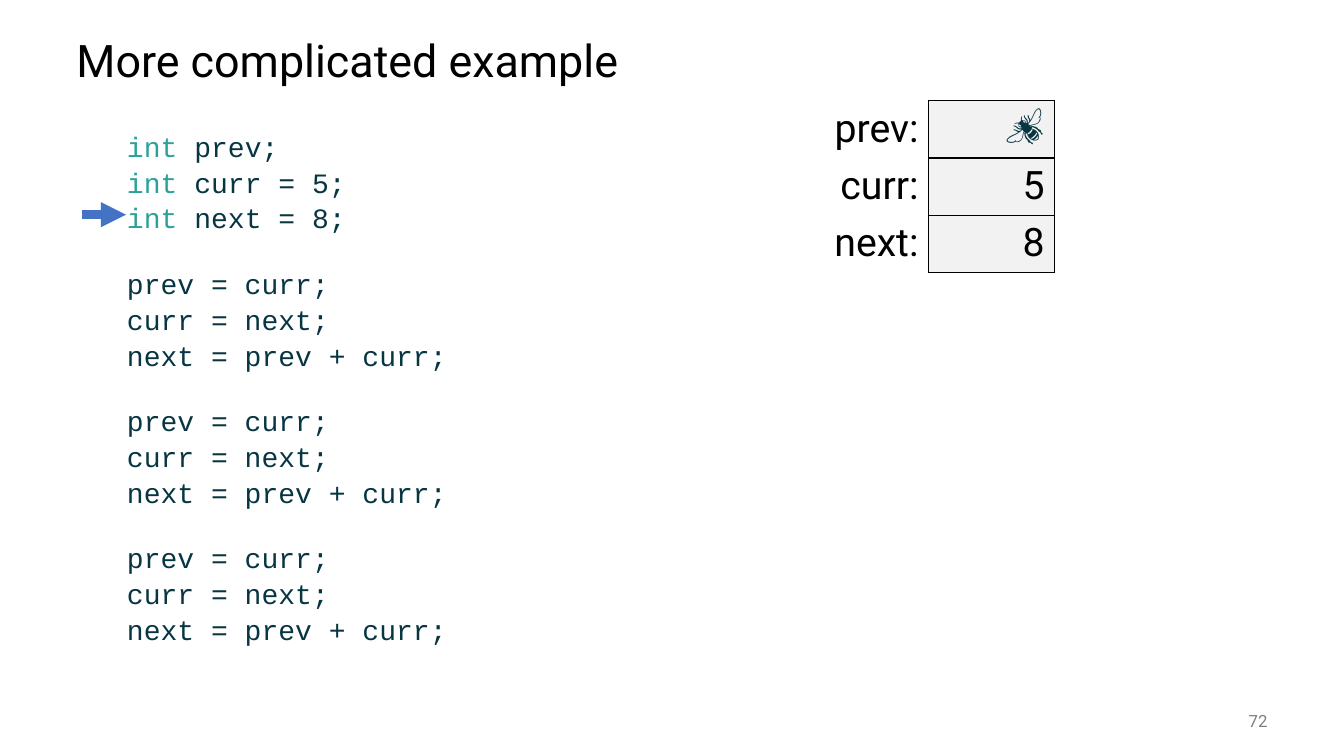
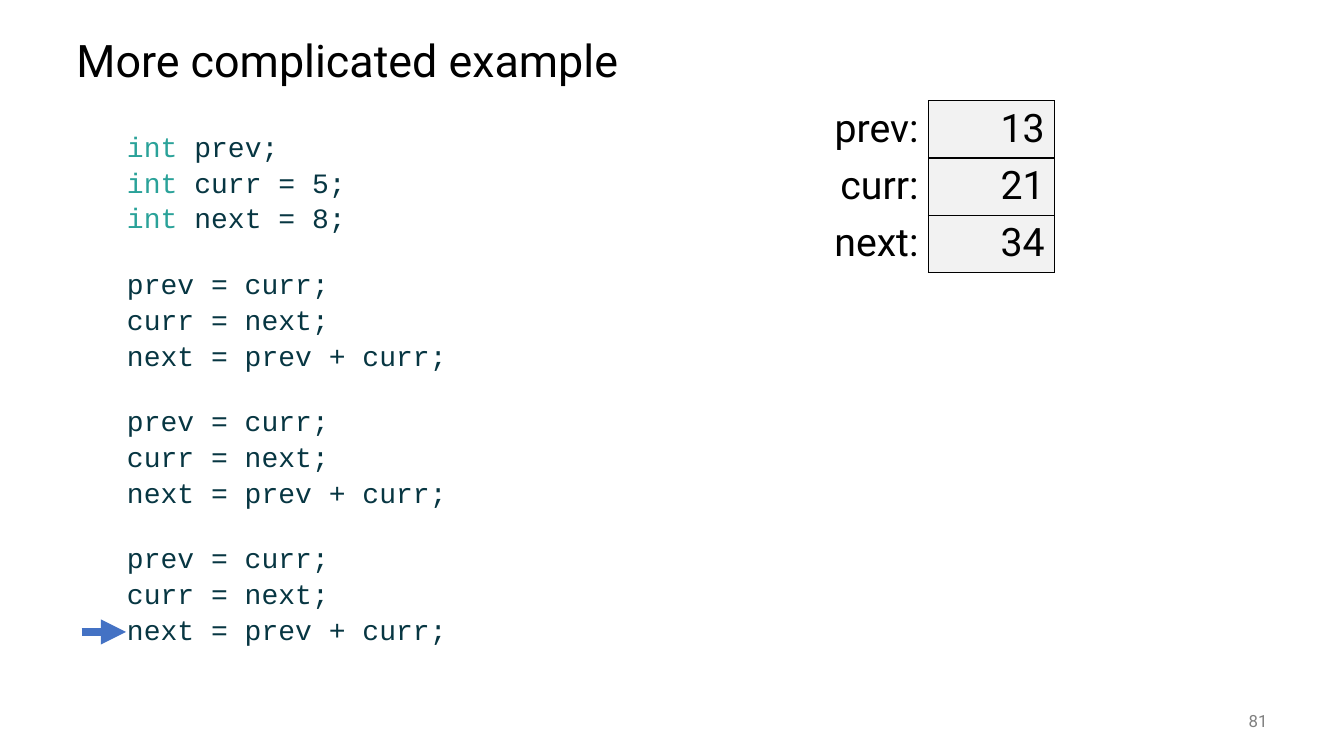
from lxml import etree
from pptx import Presentation
from pptx import util as u
from pptx.dml.color import RGBColor
from pptx.enum import shapes, text
from pptx.oxml import ns

BLACK = RGBColor(0x00, 0x00, 0x00)
GRAY = RGBColor(0x80, 0x80, 0x80)
CELL_GRAY = RGBColor(0xF2, 0xF2, 0xF2)
KEYWORD_TEAL = RGBColor(0x2A, 0xA2, 0x99)
CODE_NAVY = RGBColor(0x07, 0x36, 0x42)
ARROW_BLUE = RGBColor(0x44, 0x72, 0xC4)
SANS = "Roboto"
MONO = "Courier New"

CODE_LINE = 21.5
CODE_GAP = 4
DECLARATIONS = ("int prev;", "int curr = 5;", "int next = 8;")
STEP = ("prev = curr;", "curr = next;", "next = prev + curr;")
CODE_GROUPS = (DECLARATIONS, STEP, STEP, STEP)
VARIABLES = ("prev:", "curr:", "next:")
BEE = "🐝"


def style(font, size, color, name=SANS):
    font.size = u.Pt(size)
    font.name = name
    font.color.rgb = color


def add_text_box(slide, left, top, width, height, anchor=text.MSO_ANCHOR.MIDDLE):
    box = slide.shapes.add_textbox(*map(u.Inches, (left, top, width, height)))
    frame = box.text_frame
    frame.word_wrap = True
    frame.vertical_anchor = anchor
    return frame


def add_title(slide, title):
    paragraph = add_text_box(slide, 0.66, 0.25, 12, 0.75).paragraphs[0]
    paragraph.text = title
    paragraph.line_spacing = 0.9
    style(paragraph.font, 32, BLACK)


def add_slide_number(slide, number):
    paragraph = add_text_box(slide, 11.67, 6.95, 1, 0.4).paragraphs[0]
    paragraph.text = str(number)
    paragraph.alignment = text.PP_ALIGN.RIGHT
    style(paragraph.font, 12, GRAY)


def add_code_line(paragraph, line):
    paragraph.line_spacing = u.Pt(CODE_LINE)
    style(paragraph.font, 20, CODE_NAVY, MONO)
    if line.startswith("int "):
        keyword = paragraph.add_run()
        keyword.text = "int "
        keyword.font.color.rgb = KEYWORD_TEAL
    paragraph.add_run().text = line.removeprefix("int ")


def add_code(slide, groups):
    frame = add_text_box(slide, 0.66, 1.25, 12, 5.5, text.MSO_ANCHOR.TOP)
    frame.margin_left = u.Inches(0.6)
    frame.margin_top = u.Inches(0.07)
    for group_index, group in enumerate(groups):
        for line_index, line in enumerate(group):
            if group_index == line_index == 0:
                paragraph = frame.paragraphs[0]
            else:
                paragraph = frame.add_paragraph()
                blank = CODE_LINE if line_index == 0 else 0
                paragraph.space_before = u.Pt(CODE_GAP + blank)
            add_code_line(paragraph, line)


def set_borders(cell, sides):
    properties = cell._tc.get_or_add_tcPr()
    for side in sides:
        border = etree.SubElement(properties, ns.qn(f"a:ln{side}"), w=str(u.Pt(1)))
        fill = etree.SubElement(border, ns.qn("a:solidFill"))
        etree.SubElement(fill, ns.qn("a:srgbClr"), val=str(BLACK))


def fill_cell(cell, content, color=BLACK, font_name=SANS):
    paragraph = cell.text_frame.paragraphs[0]
    paragraph.text = content
    paragraph.alignment = text.PP_ALIGN.RIGHT
    style(paragraph.font, 28, color, font_name)


def add_memory_table(slide, values):
    column_width, row_height = 1.25, 0.55
    table = slide.shapes.add_table(
        len(values), 2, u.Inches(7.96), u.Inches(1),
        u.Inches(2 * column_width), u.Inches(len(values) * row_height)).table
    table.first_row = False
    table.horz_banding = False
    for row, (variable, value) in enumerate(zip(VARIABLES, values)):
        label_cell, value_cell = table.cell(row, 0), table.cell(row, 1)
        fill_cell(label_cell, variable)
        set_borders(label_cell, "R")
        label_cell.fill.background()
        value_style = (CODE_NAVY, MONO) if value == BEE else (BLACK, SANS)
        fill_cell(value_cell, value, *value_style)
        set_borders(value_cell, "LRTB")
        value_cell.fill.solid()
        value_cell.fill.fore_color.rgb = CELL_GRAY


def add_arrow(slide, top):
    arrow = slide.shapes.add_connector(
        shapes.MSO_CONNECTOR.STRAIGHT,
        *map(u.Inches, (0.81, top, 1.25, top)))
    arrow.line.width = u.Pt(6)
    arrow.line.color.rgb = ARROW_BLUE
    properties = arrow._element.spPr
    line = properties.find(ns.qn("a:ln"))
    etree.SubElement(line, ns.qn("a:tailEnd"), type="triangle")
    etree.SubElement(properties, ns.qn("a:effectLst"))


def add_trace_slide(presentation, number, values, arrow_top):
    slide = presentation.slides.add_slide(presentation.slide_layouts[6])
    add_title(slide, "More complicated example")
    add_code(slide, CODE_GROUPS)
    add_slide_number(slide, number)
    add_memory_table(slide, values)
    add_arrow(slide, arrow_top)


def main():
    presentation = Presentation()
    presentation.slide_width = u.Inches(13.33)
    presentation.slide_height = u.Inches(7.5)
    add_trace_slide(presentation, 72, (BEE, "5", "8"), 2.13)
    add_trace_slide(presentation, 81, ("13", "21", "34"), 6.27)
    presentation.save("out.pptx")


if __name__ == "__main__":
    main()
